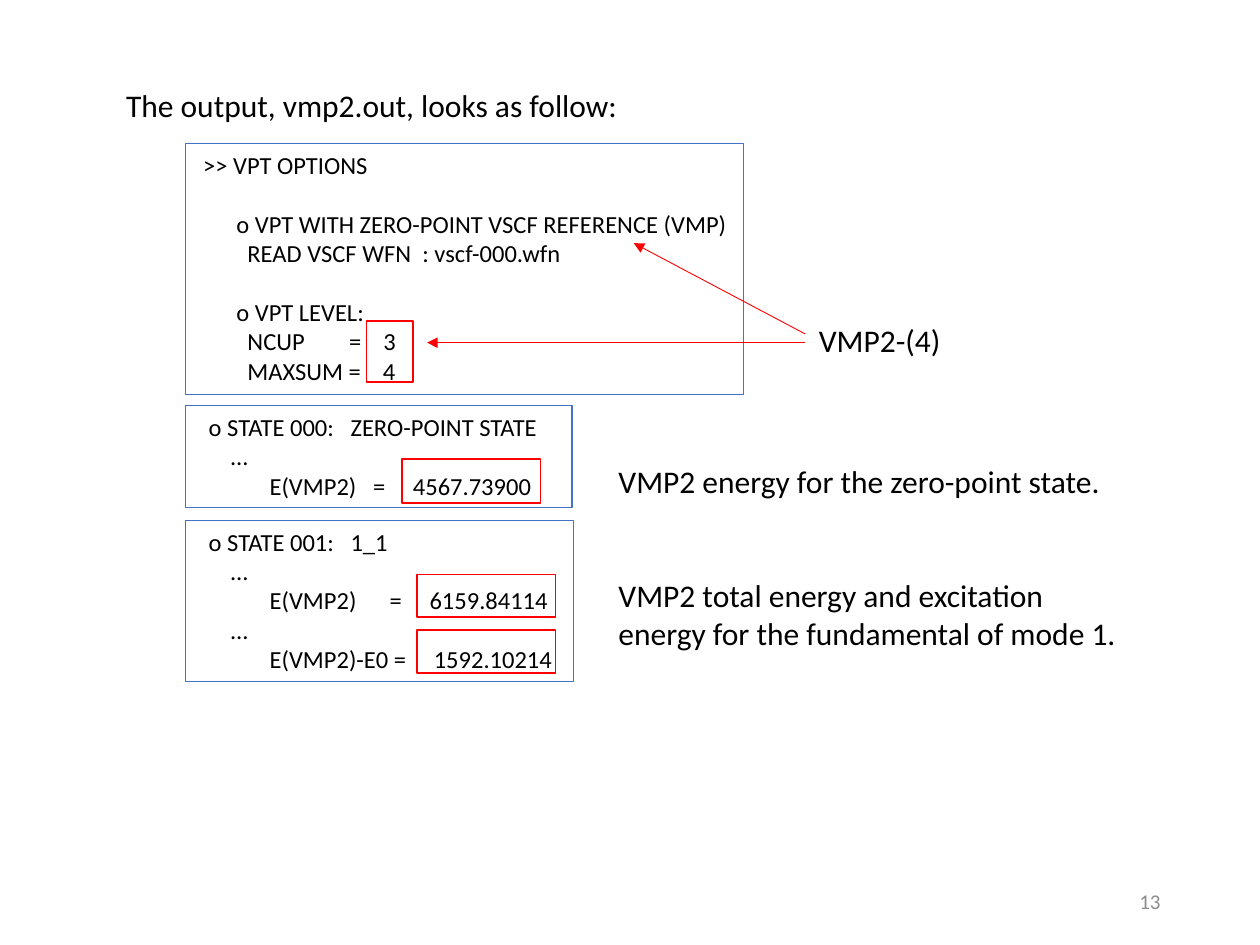
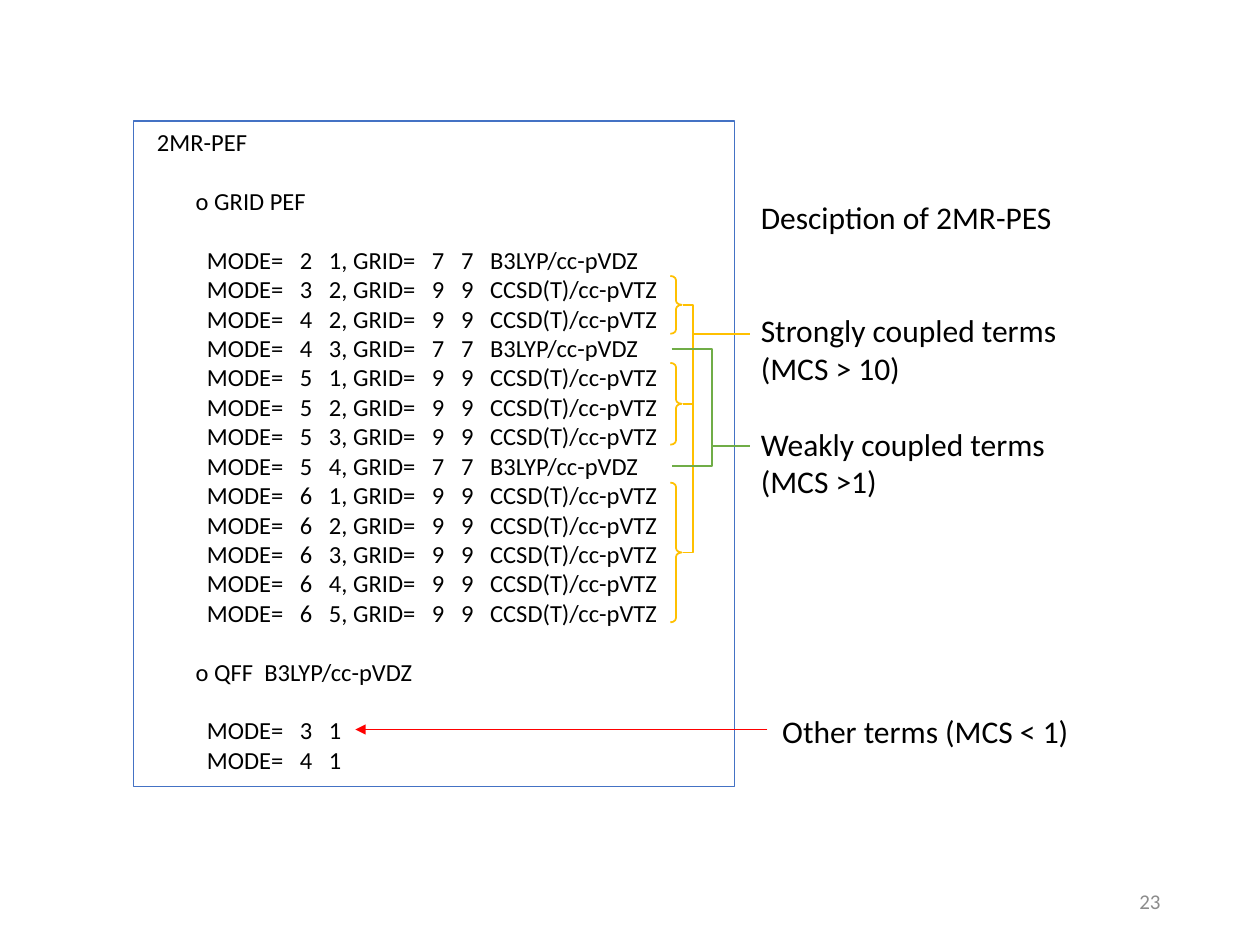
from dataclasses import dataclass
from typing import Sequence

from lxml.etree import SubElement
from pptx import Presentation
from pptx.dml.color import RGBColor
from pptx.enum.shapes import MSO_CONNECTOR, MSO_SHAPE
from pptx.enum.text import MSO_ANCHOR, MSO_AUTO_SIZE, PP_ALIGN
from pptx.oxml.ns import qn
from pptx.util import Inches, Pt


@dataclass(frozen=True)
class Theme:
    font: str = "Calibri"
    text: str = "000000"
    muted: str = "8C8C8C"
    frame: str = "4472C4"
    highlight: str = "FF0000"
    strong: str = "FFC000"
    weak: str = "70AD47"
    note_size: float = 18
    listing_size: float = 14
    number_size: float = 12
    line_pitch: float = 1.2
    frame_width: float = 0.75
    mark_width: float = 1
    arrow_width: float = 0.5


THEME = Theme()


@dataclass(frozen=True)
class Box:
    left: float
    top: float
    width: float
    height: float

    def lengths(self) -> tuple:
        return tuple(Inches(value) for value in
                     (self.left, self.top, self.width, self.height))

    @property
    def middle(self) -> float:
        return self.top + self.height / 2


@dataclass(frozen=True)
class TextBlock:
    box: Box
    lines: Sequence[str]


@dataclass(frozen=True)
class Arrow:
    start: tuple[float, float]
    end: tuple[float, float]


@dataclass(frozen=True)
class Bracket:
    """Branches at the given levels, joined by a spine that leads to a label."""
    colour: str
    left: float
    spine: float
    levels: Sequence[float]
    label_level: float


def mode_rows() -> list[str]:
    """List the mode pairs on a grid; weakly coupled pairs get the coarse one."""
    weak = {(2, 1), (4, 3), (5, 4)}
    force_field_only = {(3, 1), (4, 1)}
    rows = []
    for high in range(2, 7):
        for low in range(1, high):
            pair = (high, low)
            if pair in force_field_only:
                continue
            points, method = (7, "B3LYP/cc-pVDZ") if pair in weak else (9, "CCSD(T)/cc-pVTZ")
            rows.append(f"           MODE=   {high}   {low}, "
                        f"GRID=   {points}   {points}   {method}")
    return rows


TITLE = TextBlock(Box(0.9, 0.63, 5.74, 0.4), ["The output, vmp2.out, looks as follow:"])
OUTPUT_LISTINGS = [
    TextBlock(Box(1.47, 1.14, 4.43, 1.99), [
        " >> VPT OPTIONS",
        "",
        "       o VPT WITH ZERO-POINT VSCF REFERENCE (VMP)",
        "         READ VSCF WFN  : vscf-000.wfn",
        "",
        "       o VPT LEVEL:",
        "         NCUP        =    3",
        "         MAXSUM =    4",
    ]),
    TextBlock(Box(1.47, 3.22, 3.07, 0.81), [
        "  o STATE 000:   ZERO-POINT STATE",
        "      …",
        "             E(VMP2)   =     4567.73900",
    ]),
    TextBlock(Box(1.47, 4.13, 3.08, 1.28), [
        "  o STATE 001:   1_1",
        "      …",
        "             E(VMP2)      =     6159.84114",
        "      …",
        "             E(VMP2)-E0 =     1592.10214",
    ]),
]
OUTPUT_NOTES = [
    TextBlock(Box(6.4, 2.5, 1.22, 0.4), ["VMP2-(4)"]),
    TextBlock(Box(4.81, 3.62, 4.03, 0.4), ["VMP2 energy for the zero-point state."]),
    TextBlock(Box(4.81, 4.52, 4.28, 0.71),
              ["VMP2 total energy and excitation energy for the fundamental of mode 1."]),
]
VALUE_MARKS = [
    Box(2.91, 2.55, 0.37, 0.48),
    Box(3.19, 3.64, 1.1, 0.35),
    Box(3.31, 4.56, 1.1, 0.34),
    Box(3.31, 5, 1.1, 0.34),
]
LEVEL_ARROWS = [Arrow((6.39, 2.72), (3.39, 2.72)), Arrow((6.39, 2.65), (5.03, 1.93))]

POTENTIAL_LISTING = TextBlock(Box(1.06, 0.96, 4.77, 5.28), [
    "  2MR-PEF",
    "",
    "         o GRID PEF",
    "",
    *mode_rows(),
    "",
    "         o QFF  B3LYP/cc-pVDZ",
    "",
    "           MODE=   3   1",
    "           MODE=   4   1",
])
POTENTIAL_NOTES = [
    TextBlock(Box(5.94, 1.52, 3.36, 2.52), [
        "Desciption of 2MR-PES", "", "",
        "Strongly coupled terms", "(MCS > 10)", "",
        "Weakly coupled terms", "(MCS >1)",
    ]),
    TextBlock(Box(6.11, 5.6, 2.5, 0.4), ["Other terms (MCS < 1)"]),
]
OTHER_TERMS_ARROW = Arrow((6.09, 5.79), (2.82, 5.79))
STRONG_BRACES = [Box(5.32, top, 0.09, height)
                 for top, height in ((2.19, 0.46), (2.88, 0.65), (3.83, 1.11))]
STRONG_BRACKET = Bracket(THEME.strong, 5.42, 5.5,
                         [brace.middle for brace in STRONG_BRACES], 2.65)
WEAK_BRACKET = Bracket(THEME.weak, 5.33, 5.65, (2.77, 3.7), 3.54)
LABEL_EDGE = 5.95


def colour(value: str) -> RGBColor:
    return RGBColor.from_string(value)


def write_lines(shape, lines: Sequence[str], size: float, text_colour: str = THEME.text,
                alignment=PP_ALIGN.LEFT, anchor=MSO_ANCHOR.TOP) -> None:
    """Write one paragraph per line; an empty line becomes space before the next."""
    frame = shape.text_frame
    frame.word_wrap = True
    frame.auto_size = MSO_AUTO_SIZE.NONE
    frame.vertical_anchor = anchor
    gaps = 0
    for index, line in enumerate(lines):
        if not line:
            gaps += 1
            continue
        paragraph = frame.add_paragraph() if index else frame.paragraphs[0]
        paragraph.alignment = alignment
        if gaps:
            paragraph.space_before = Pt(round(gaps * size * THEME.line_pitch, 1))
            gaps = 0
        run = paragraph.add_run()
        run.text = line
        run.font.name = THEME.font
        run.font.size = Pt(size)
        run.font.color.rgb = colour(text_colour)


def style_line(shape, line_colour: str, width: float) -> None:
    shape.line.color.rgb = colour(line_colour)
    shape.line.width = Pt(width)


def add_outline(shapes, kind, box: Box, line_colour: str, width: float):
    shape = shapes.add_shape(kind, *box.lengths())
    shape.shadow.inherit = False
    shape.fill.background()
    style_line(shape, line_colour, width)
    return shape


def add_line(shapes, start, end, line_colour: str, width: float):
    line = shapes.add_connector(MSO_CONNECTOR.STRAIGHT,
                                *(Inches(value) for value in (*start, *end)))
    style_line(line, line_colour, width)
    SubElement(line._element.spPr, qn("a:effectLst"))
    return line


def add_arrow(shapes, arrow: Arrow) -> None:
    line = add_line(shapes, arrow.start, arrow.end, THEME.highlight, THEME.arrow_width)
    SubElement(line.line._get_or_add_ln(), qn("a:tailEnd"), type="triangle")


def add_listing(shapes, block: TextBlock) -> None:
    shape = add_outline(shapes, MSO_SHAPE.RECTANGLE, block.box,
                        THEME.frame, THEME.frame_width)
    write_lines(shape, block.lines, THEME.listing_size)


def add_note(shapes, block: TextBlock) -> None:
    write_lines(shapes.add_textbox(*block.box.lengths()), block.lines, THEME.note_size)


def add_page_number(shapes, number: int) -> None:
    shape = shapes.add_textbox(*Box(7.06, 6.95, 2.25, 0.4).lengths())
    write_lines(shape, [str(number)], THEME.number_size, THEME.muted,
                PP_ALIGN.RIGHT, MSO_ANCHOR.MIDDLE)


def add_bracket(shapes, bracket: Bracket) -> None:
    first, *inner, last = bracket.levels
    corners = [(bracket.left, first), (bracket.spine, first),
               (bracket.spine, last), (bracket.left, last)]
    points = [(Inches(x), Inches(y)) for x, y in corners]
    builder = shapes.build_freeform(*points[0])
    builder.add_line_segments(points[1:], close=False)
    outline = builder.convert_to_shape()
    outline.shadow.inherit = False
    outline.fill.background()
    style_line(outline, bracket.colour, THEME.mark_width)
    for level in inner:
        add_line(shapes, (bracket.left, level), (bracket.spine, level),
                 bracket.colour, THEME.mark_width)
    add_line(shapes, (bracket.spine, bracket.label_level), (LABEL_EDGE, bracket.label_level),
             bracket.colour, THEME.mark_width)


def build_output_slide(presentation) -> None:
    slide = presentation.slides.add_slide(presentation.slide_layouts.get_by_name("Title Only"))
    title = slide.shapes.title
    title.left, title.top, title.width, title.height = TITLE.box.lengths()
    write_lines(title, TITLE.lines, THEME.note_size)
    add_page_number(slide.shapes, 13)
    for listing in OUTPUT_LISTINGS:
        add_listing(slide.shapes, listing)
    for note in OUTPUT_NOTES:
        add_note(slide.shapes, note)
    for mark in VALUE_MARKS:
        add_outline(slide.shapes, MSO_SHAPE.RECTANGLE, mark,
                    THEME.highlight, THEME.mark_width)
    for arrow in LEVEL_ARROWS:
        add_arrow(slide.shapes, arrow)


def build_potential_slide(presentation) -> None:
    slide = presentation.slides.add_slide(presentation.slide_layouts.get_by_name("Blank"))
    add_page_number(slide.shapes, 23)
    add_listing(slide.shapes, POTENTIAL_LISTING)
    for note in POTENTIAL_NOTES:
        add_note(slide.shapes, note)
    add_arrow(slide.shapes, OTHER_TERMS_ARROW)
    strong_group = slide.shapes.add_group_shape().shapes
    for box in STRONG_BRACES:
        brace = add_outline(strong_group, MSO_SHAPE.RIGHT_BRACE, box,
                            THEME.strong, THEME.mark_width)
        brace.adjustments[0] = 0.38
    add_bracket(strong_group, STRONG_BRACKET)
    add_bracket(slide.shapes.add_group_shape().shapes, WEAK_BRACKET)


def main() -> None:
    presentation = Presentation()
    presentation.slide_width = Inches(10)
    presentation.slide_height = Inches(7.5)
    build_output_slide(presentation)
    build_potential_slide(presentation)
    presentation.save("out.pptx")


if __name__ == "__main__":
    main()
